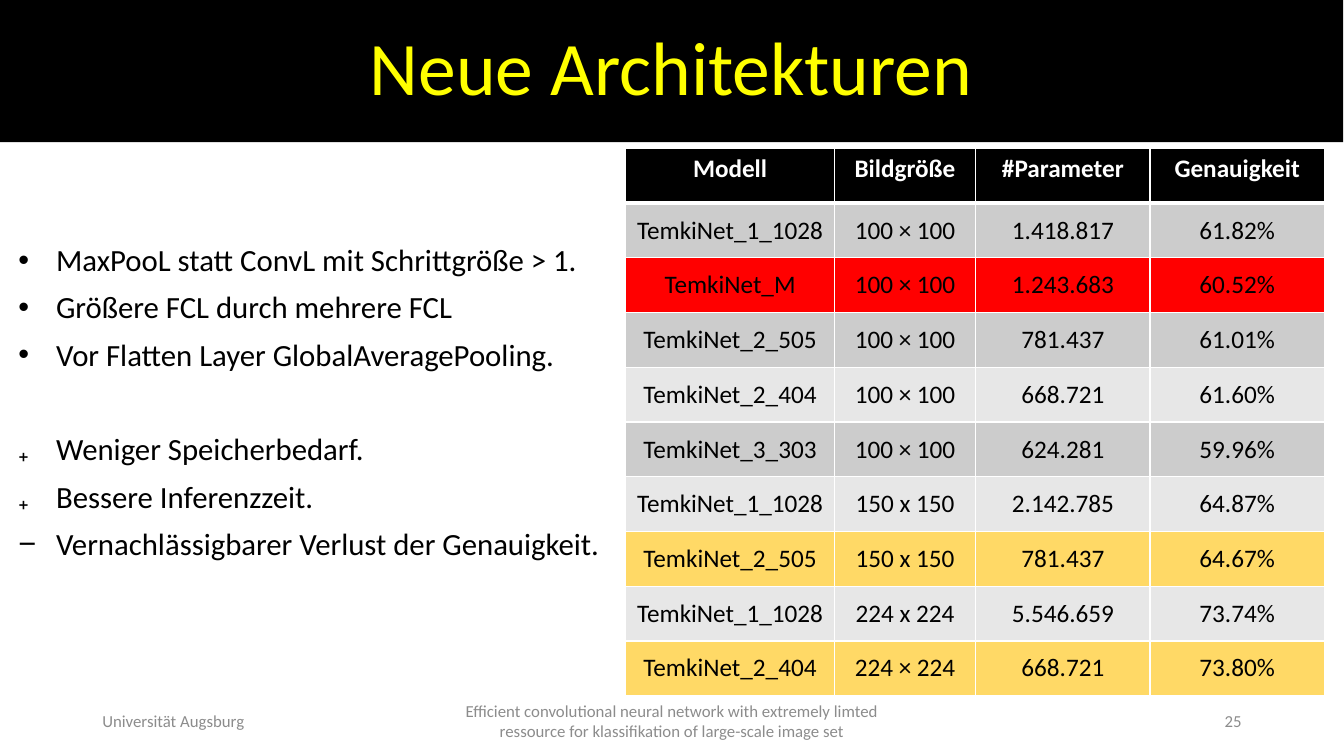
from dataclasses import dataclass

from lxml.etree import SubElement
from pptx import Presentation
from pptx.dml.color import RGBColor
from pptx.enum.shapes import MSO_SHAPE as Shape
from pptx.enum.text import MSO_ANCHOR as Anchor, PP_ALIGN as Align
from pptx.oxml.ns import qn
from pptx.util import Pt


@dataclass(frozen=True)
class Theme:
    font: str = "Calibri"
    black: str = "000000"
    white: str = "FFFFFF"
    title: str = "FFFF00"
    footer: str = "8C8C8C"
    even_band: str = "E7E7E7"
    odd_band: str = "CCCCCC"
    warning: str = "FF0000"
    best: str = "FFD966"
    title_size: int = 54
    body_size: int = 22
    table_size: int = 18
    footer_size: int = 12


class SlideBuilder:
    def __init__(self, slide, theme):
        self.slide = slide
        self.theme = theme

    def add_run(self, paragraph, text, size, color, bold=False):
        run = paragraph.add_run()
        run.text = text
        run.font.name = self.theme.font
        run.font.size = Pt(size)
        run.font.bold = bold
        run.font.color.rgb = RGBColor.from_string(color)

    def add_title(self, text, left, top, width, height):
        shape = self.slide.shapes.add_shape(
            Shape.RECTANGLE, Pt(left), Pt(top), Pt(width), Pt(height))
        shape.shadow.inherit = False
        shape.fill.solid()
        shape.fill.fore_color.rgb = RGBColor.from_string(self.theme.black)
        shape.line.fill.background()
        shape.text_frame.vertical_anchor = Anchor.MIDDLE
        paragraph = shape.text_frame.paragraphs[0]
        paragraph.alignment = Align.CENTER
        paragraph.line_spacing = 0.9
        self.add_run(paragraph, text, self.theme.title_size, self.theme.title)

    def add_text_frame(self, left, top, width, height):
        box = self.slide.shapes.add_textbox(Pt(left), Pt(top), Pt(width), Pt(height))
        frame = box.text_frame
        frame.word_wrap = True
        frame.vertical_anchor = Anchor.MIDDLE
        return frame

    def add_bullets(self, items, left, top, width, height):
        """Add a list of (bullet, text, space before) items."""
        frame = self.add_text_frame(left, top, width, height)
        for index, (bullet, text, space_before) in enumerate(items):
            paragraph = frame.add_paragraph() if index else frame.paragraphs[0]
            paragraph.line_spacing = 0.9
            paragraph.space_before = Pt(space_before)
            properties = paragraph._p.get_or_add_pPr()
            properties.set("marL", str(Pt(27)))
            properties.set("indent", str(-Pt(27)))
            SubElement(properties, qn("a:buFont"), typeface="Arial")
            SubElement(properties, qn("a:buChar"), char=bullet)
            self.add_run(paragraph, text, self.theme.body_size, self.theme.black)

    def add_footer(self, text, left, width, alignment):
        frame = self.add_text_frame(left, 500.5, width, 28.75)
        paragraph = frame.paragraphs[0]
        paragraph.alignment = alignment
        self.add_run(paragraph, text, self.theme.footer_size, self.theme.footer)

    def add_borders(self, cell, top, bottom):
        properties = cell._tc.get_or_add_tcPr()
        for side, width in (("L", 1), ("R", 1), ("T", top), ("B", bottom)):
            line = SubElement(properties, qn(f"a:ln{side}"), w=str(Pt(width)))
            fill = SubElement(line, qn("a:solidFill"))
            SubElement(fill, qn("a:srgbClr"), val=self.theme.white)

    def add_table(self, rows, highlights, column_widths, left, top, row_height):
        """Add a banded table; highlights maps row numbers to fill colours."""
        theme = self.theme
        table = self.slide.shapes.add_table(
            len(rows), len(column_widths), Pt(left), Pt(top),
            Pt(sum(column_widths)), Pt(row_height * len(rows))).table
        for column, width in zip(table.columns, column_widths):
            column.width = Pt(width)
        for row_number, values in enumerate(rows):
            table.rows[row_number].height = Pt(row_height)
            header = row_number == 0
            band = theme.odd_band if row_number % 2 else theme.even_band
            fill = theme.black if header else highlights.get(row_number, band)
            for column_number, value in enumerate(values):
                cell = table.cell(row_number, column_number)
                self.add_borders(cell, top=3 if row_number == 1 else 1,
                                 bottom=3 if header else 1)
                cell.fill.solid()
                cell.fill.fore_color.rgb = RGBColor.from_string(fill)
                cell.vertical_anchor = Anchor.TOP if header else Anchor.MIDDLE
                paragraph = cell.text_frame.paragraphs[0]
                paragraph.alignment = Align.CENTER
                self.add_run(paragraph, value, theme.table_size,
                             theme.white if header else theme.black, header)


MODELS = [
    ("Modell", "Bildgröße", "#Parameter", "Genauigkeit"),
    ("TemkiNet_1_1028", "100 × 100", "1.418.817", "61.82%"),
    ("TemkiNet_M", "100 × 100", "1.243.683", "60.52%"),
    ("TemkiNet_2_505", "100 × 100", "781.437", "61.01%"),
    ("TemkiNet_2_404", "100 × 100", "668.721", "61.60%"),
    ("TemkiNet_3_303", "100 × 100", "624.281", "59.96%"),
    ("TemkiNet_1_1028", "150 x 150", "2.142.785", "64.87%"),
    ("TemkiNet_2_505", "150 x 150", "781.437", "64.67%"),
    ("TemkiNet_1_1028", "224 x 224", "5.546.659", "73.74%"),
    ("TemkiNet_2_404", "224 × 224", "668.721", "73.80%"),
]
CHANGES = [
    ("•", "MaxPooL statt ConvL mit Schrittgröße > 1.", 10),
    ("•", "Größere FCL durch mehrere FCL", 10),
    ("•", "Vor Flatten Layer GlobalAveragePooling.", 10),
    ("₊", "Weniger Speicherbedarf.", 44),
    ("₊", "Bessere Inferenzzeit.", 10),
    ("−", "Vernachlässigbarer Verlust der Genauigkeit.", 10),
]
THESIS = ("Efficient convolutional neural network with extremely limted "
          "ressource for klassifikation of large-scale image set")


def main():
    presentation = Presentation()
    presentation.slide_width = Pt(960)
    presentation.slide_height = Pt(540)
    theme = Theme()
    builder = SlideBuilder(
        presentation.slides.add_slide(presentation.slide_layouts[6]), theme)

    builder.add_title("Neue Architekturen", -0.5, 0, 960, 101.5)
    builder.add_table(MODELS, {2: theme.warning, 7: theme.best, 9: theme.best},
                      (149, 101, 124.5, 124.5), 447, 106, 39.1)
    builder.add_bullets(CHANGES, 6, 136, 440.5, 304.5)
    builder.add_footer("Universität Augsburg", 66, 216, Align.LEFT)
    builder.add_footer(THESIS, 318, 324, Align.CENTER)
    builder.add_footer("25", 678, 216, Align.RIGHT)
    presentation.save("out.pptx")


if __name__ == "__main__":
    main()
